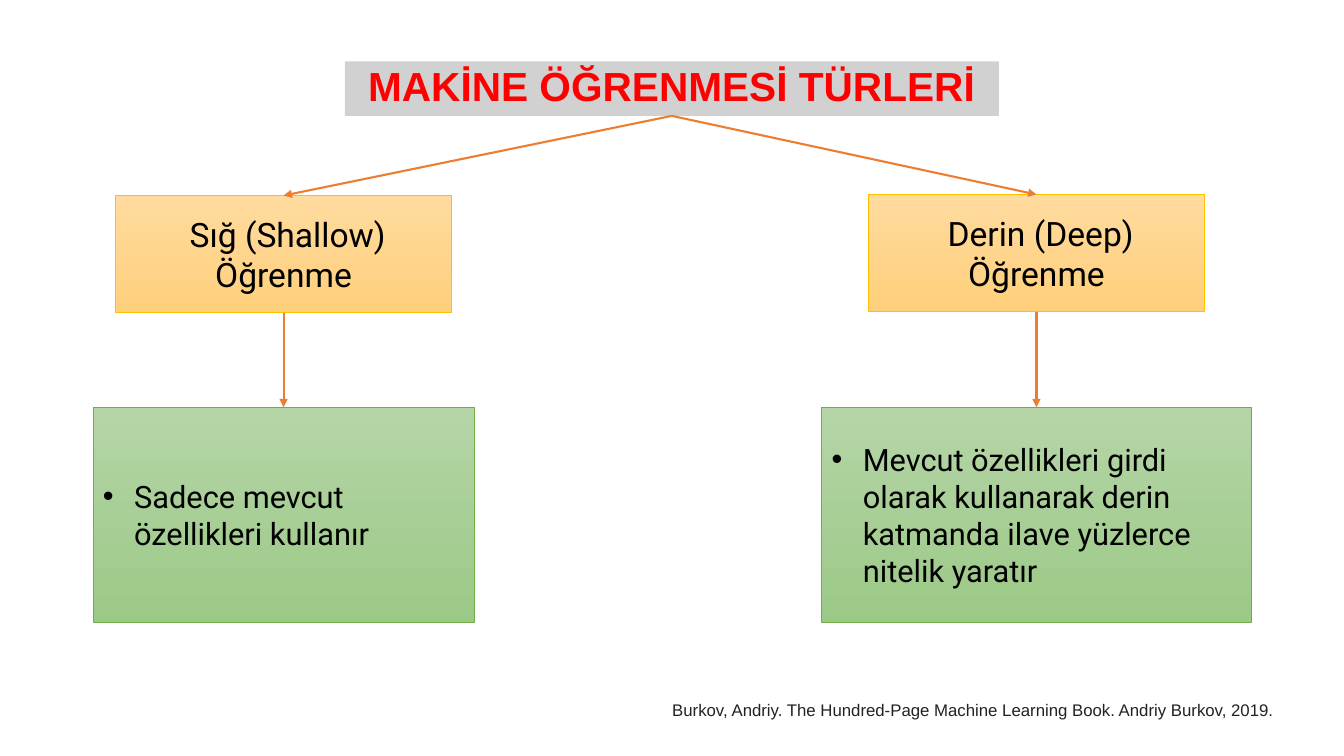
from lxml.etree import SubElement as Sub
from pptx import Presentation
from pptx.dml.color import RGBColor
from pptx.enum.shapes import MSO_CONNECTOR as Link, MSO_SHAPE as Form
from pptx.enum.text import MSO_ANCHOR as Anchor, MSO_AUTO_SIZE as Fit, PP_ALIGN as Align
from pptx.oxml.ns import qn
from pptx.util import Inches, Pt

BLACK = RGBColor(0x00, 0x00, 0x00)
INK = RGBColor(0x22, 0x22, 0x22)
RED = RGBColor(0xFF, 0x00, 0x00)
GRAY = RGBColor(0xA5, 0xA5, 0xA5)
ORANGE = RGBColor(0xED, 0x7D, 0x31)
GOLD = (RGBColor(0xFF, 0xDB, 0x9E), RGBColor(0xFF, 0xD0, 0x7C), RGBColor(0xFF, 0xC0, 0x00))
GREEN = (RGBColor(0xB5, 0xD5, 0xA7), RGBColor(0x9C, 0xC9, 0x87), RGBColor(0x70, 0xAD, 0x47))
WIDE, HIGH = Inches(13.333), Inches(7.5)


def area(x, y, w, h):
    return [int(part * full / 100) for part, full in zip((x, y, w, h), (WIDE, HIGH) * 2)]


def write(shape, text, size, font="Roboto", color=BLACK, bold=False,
          align=Align.LEFT, anchor=Anchor.MIDDLE, space=1.0, bullet=False):
    frame = shape.text_frame
    frame.word_wrap = True
    frame.auto_size = Fit.NONE
    frame.vertical_anchor = anchor
    para = frame.paragraphs[0]
    para.alignment = align
    para.line_spacing = space
    run = para.add_run()
    run.text = text
    run.font.size = Pt(size)
    run.font.name = font
    run.font.bold = bold
    run.font.color.rgb = color
    if bullet:
        props = para._p.get_or_add_pPr()
        props.set("marL", str(Inches(0.31)))
        props.set("indent", str(-Inches(0.31)))
        Sub(props, qn("a:buFont"), typeface="Arial")
        Sub(props, qn("a:buChar"), char="•")


def panel(slide, box, tones):
    shape = slide.shapes.add_shape(Form.RECTANGLE, *area(*box))
    shape.shadow.inherit = False
    shape.fill.gradient()
    shape.fill.gradient_angle = 270
    for stop, tone in zip(shape.fill.gradient_stops, tones):
        stop.color.rgb = tone
    shape.line.color.rgb = tones[2]
    shape.line.width = Pt(0.5)
    return shape


def arrow(slide, start, end):
    line = slide.shapes.add_connector(Link.STRAIGHT, 0, 0, 0, 0)
    line.begin_connect(start, 2)
    line.end_connect(end, 0)
    line.line.color.rgb = ORANGE
    line.line.width = Pt(1.5)
    Sub(line.line._get_or_add_ln(), qn("a:tailEnd"), type="triangle")
    Sub(line._element.spPr, qn("a:effectLst"))


def header(slide, box):
    title = slide.shapes.title
    title.left, title.top, title.width, title.height = area(*box)
    title.fill.solid()
    title.fill.fore_color.rgb = GRAY
    tint = title._element.spPr.find(".//" + qn("a:srgbClr"))
    Sub(tint, qn("a:alpha"), val="50000")
    write(title, "MAKİNE ÖĞRENMESİ TÜRLERİ", 29, font="Arial", color=RED, bold=True,
          align=Align.CENTER, anchor=Anchor.TOP, space=0.9)
    return title


def branch(slide, title, mid, top, width, name, note):
    kind = panel(slide, (mid - 12.5, top, 25, 15.5), GOLD)
    write(kind, name, 24, align=Align.CENTER)
    trait = panel(slide, (mid - width / 2, 53.87, width, 28.4), GREEN)
    write(trait, note, 22, bullet=True)
    arrow(slide, title, kind)
    arrow(slide, kind, trait)


def footer(slide, box):
    label = slide.shapes.add_textbox(*area(*box))
    write(label, "Burkov, Andriy. The Hundred-Page Machine Learning Book. Andriy Burkov, 2019.",
          12, font="Arial", color=INK, anchor=Anchor.TOP)


def main():
    deck = Presentation()
    deck.slide_width, deck.slide_height = WIDE, HIGH
    slide = deck.slides.add_slide(deck.slide_layouts[5])
    title = header(slide, (25.65, 8.13, 48.68, 7.2))
    branch(slide, title, 21.1, 25.87, 28.35, " Sığ (Shallow) Öğrenme",
           "Sadece mevcut özellikleri kullanır")
    branch(slide, title, 77.12, 25.73, 31.95, " Derin (Deep) Öğrenme",
           "Mevcut özellikleri girdi olarak kullanarak derin katmanda ilave yüzlerce nitelik yaratır")
    footer(slide, (49.28, 91.87, 47.63, 4))
    deck.save("out.pptx")


if __name__ == "__main__":
    main()
